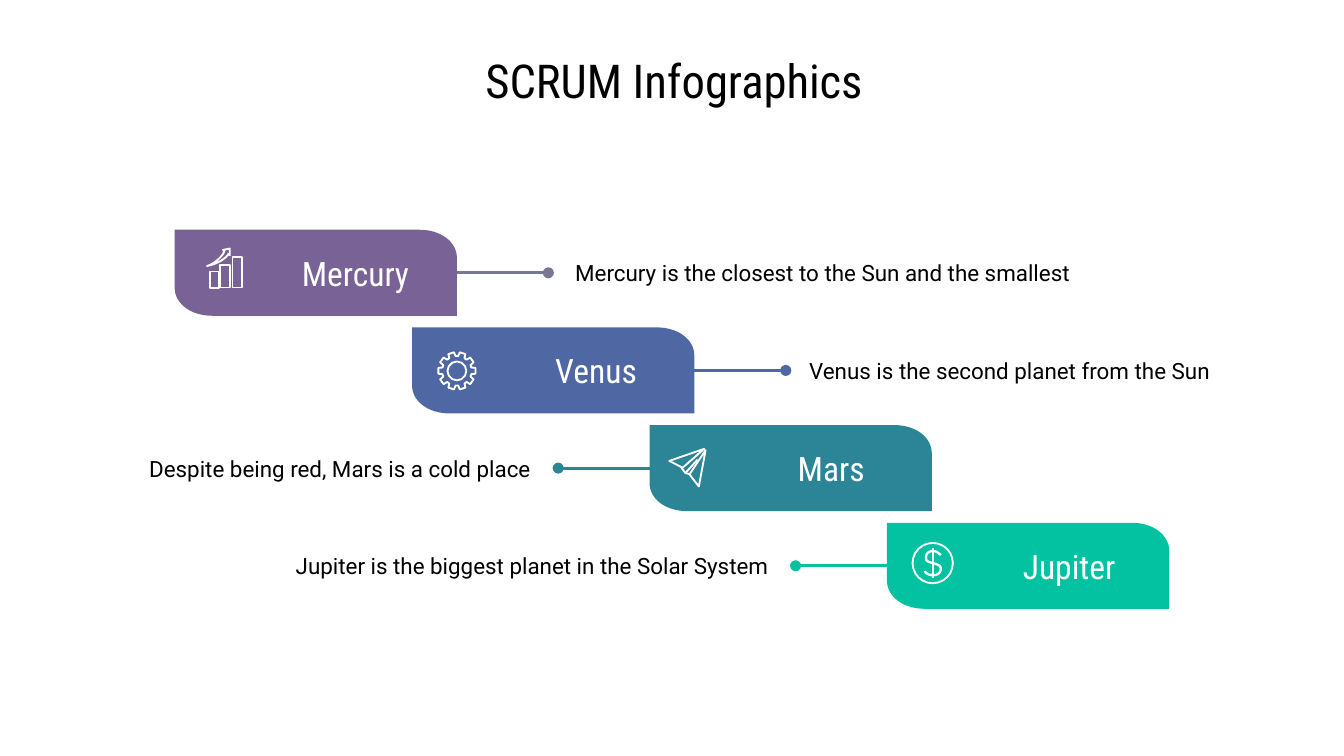
from dataclasses import dataclass
from math import cos, radians, sin
from typing import Callable

from lxml.etree import SubElement
from pptx import Presentation
from pptx.dml.color import RGBColor
from pptx.enum.shapes import MSO_CONNECTOR as Conn, MSO_SHAPE as Shape
from pptx.enum.text import MSO_ANCHOR as Anchor, PP_ALIGN as Align
from pptx.oxml.ns import qn
from pptx.util import Inches, Pt

COLORS = {
    "text": "000000", "white": "FFFFFF",
    "mercury": "796295", "mercury_line": "777693",
    "venus": "4F67A2", "mars": "2B8597", "jupiter": "03C2A2",
}
HEAD_FONT, BODY_FONT = "Roboto Condensed", "Roboto"
BANNER_W, BANNER_H = 2.1, 0.64
FIRST_X, FIRST_Y = 1.3, 1.71
LAST_X, LAST_Y = 6.6, 3.89
LINE_LEN = 0.68
ICON_PT = 1


@dataclass
class Step:
    name: str
    note: str
    color: str
    line_color: str
    label_x: float
    label_w: float
    note_x: float
    note_on_right: bool
    draw_icon: Callable


def rgb(key: str) -> RGBColor:
    return RGBColor.from_string(COLORS[key])


def flatten(path: list[tuple]) -> list[tuple]:
    """Turn (x, y) points and six-number Bézier segments into plain points."""
    points = [path[0]]
    for seg in path[1:]:
        if len(seg) == 2:
            points.append(seg)
            continue
        x0, y0 = points[-1]
        x1, y1, x2, y2, x3, y3 = seg
        for i in range(1, 17):
            t = i / 16
            a, b, c, d = (1 - t) ** 3, 3 * t * (1 - t) ** 2, 3 * t * t * (1 - t), t ** 3
            points.append((a * x0 + b * x1 + c * x2 + d * x3,
                           a * y0 + b * y1 + c * y2 + d * y3))
    return points


def paint(sp, fill: str | None = None, line: str | None = None, width: float = ICON_PT) -> None:
    sp.shadow.inherit = False
    if fill:
        sp.fill.solid()
        sp.fill.fore_color.rgb = rgb(fill)
    else:
        sp.fill.background()
    if line:
        sp.line.color.rgb = rgb(line)
        sp.line.width = Pt(width)
    else:
        sp.line.fill.background()


def add_path(shapes, path: list[tuple], closed: bool = True, **style) -> None:
    points = [(Inches(x), Inches(y)) for x, y in flatten(path)]
    builder = shapes.build_freeform(*points[0])
    builder.add_line_segments(points[1:], close=closed)
    paint(builder.convert_to_shape(), **style)


def add_outline(shapes, kind: Shape, x: float, y: float, w: float, h: float) -> None:
    paint(shapes.add_shape(kind, Inches(x), Inches(y), Inches(w), Inches(h)), line="white")


def add_line(shapes, x1: float, y1: float, x2: float, y2: float, color: str, width: float):
    line = shapes.add_connector(Conn.STRAIGHT, Inches(x1), Inches(y1), Inches(x2), Inches(y2))
    line.line.color.rgb = rgb(color)
    line.line.width = Pt(width)
    SubElement(line._element.spPr, qn("a:effectLst"))
    return line


def write(sp, text: str, size: float, font: str, color: str, align: Align,
          left_inset: float = 0.1) -> None:
    tf = sp.text_frame
    tf.word_wrap = True
    tf.vertical_anchor = Anchor.MIDDLE
    tf.margin_left = Inches(left_inset)
    tf.margin_top = tf.margin_right = tf.margin_bottom = Inches(0.1)
    p = tf.paragraphs[0]
    p.alignment = align
    r = p.add_run()
    r.text = text
    r.font.size, r.font.name = Pt(size), font
    r.font.color.rgb = rgb(color)


def add_label(shapes, x: float, y: float, w: float, h: float, text: str, size: float,
              color: str) -> None:
    box = shapes.add_textbox(Inches(x), Inches(y), Inches(w), Inches(h))
    write(box, text, size, HEAD_FONT, color, Align.CENTER)


def draw_growth(shapes) -> None:
    for x, top in ((1.56, 2.02), (1.64, 1.97), (1.73, 1.91)):
        add_outline(shapes, Shape.RECTANGLE, x, top, 0.07, 2.14 - top)
    arrow = [(1.71, 1.85), (1.66, 1.86), (1.67, 1.87), (1.65, 1.92, 1.58, 1.97, 1.54, 1.98),
             (1.64, 1.96, 1.69, 1.91, 1.7, 1.89), (1.71, 1.9)]
    add_path(shapes, arrow, line="white")


def draw_gear(shapes) -> None:
    cx, cy, hole, valley, tip = 3.4, 2.76, 0.07, 0.11, 0.14
    profile = ((-9, tip), (9, tip), (13, valley), (23, valley))
    gear = [(cx + radius * cos(radians(36 * tooth + angle)),
             cy + radius * sin(radians(36 * tooth + angle)))
            for tooth in range(10) for angle, radius in profile]
    add_path(shapes, gear, line="white")
    add_outline(shapes, Shape.OVAL, cx - hole, cy - hole, 2 * hole, 2 * hole)


def draw_plane(shapes) -> None:
    left_wing = [(5.24, 3.34), (4.98, 3.43), (5.08, 3.48)]
    right_wing = [(5.25, 3.35), (5.13, 3.53), (5.2, 3.62)]
    for wing in (left_wing, right_wing):
        add_path(shapes, wing, line="white")
    add_path(shapes, [(5.07, 3.48), (5.1, 3.52), (5.14, 3.53)], closed=False, line="white")
    add_line(shapes, 5.1, 3.52, 5.19, 3.42, "white", ICON_PT)


def draw_dollar(shapes) -> None:
    add_outline(shapes, Shape.OVAL, 6.79, 4.04, 0.3, 0.3)
    letter = [(7, 4.13), (6.98, 4.11, 6.96, 4.1, 6.94, 4.1),
              (6.91, 4.1, 6.89, 4.12, 6.89, 4.15), (6.89, 4.18, 6.91, 4.18, 6.94, 4.19),
              (6.98, 4.2, 7, 4.21, 7, 4.23), (7, 4.26, 6.98, 4.28, 6.94, 4.28),
              (6.92, 4.28, 6.89, 4.27, 6.88, 4.25)]
    add_path(shapes, letter, closed=False, line="white", width=1.25)
    add_line(shapes, 6.94, 4.08, 6.94, 4.3, "white", ICON_PT)


def draw_banner(shapes, x: float, y: float, color: str) -> None:
    """Draw a bar whose lower left and upper right corners are rounded."""
    rx, ry, kx, ky = 0.28, 0.21, 0.16, 0.12
    right, bottom = x + BANNER_W, y + BANNER_H
    add_path(shapes, [
        (x, y), (x, bottom - ry),
        (x, bottom - ry + ky, x + rx - kx, bottom, x + rx, bottom),
        (right, bottom), (right, y + ry),
        (right, y + ry - ky, right - rx + kx, y, right - rx, y),
    ], fill=color)


def draw_step(shapes, step: Step, x: float, y: float) -> None:
    draw_banner(shapes, x, y, step.color)
    step.draw_icon(shapes)
    add_label(shapes, step.label_x, y + 0.12, step.label_w, 0.4, step.name, 18, "white")

    note = shapes.add_shape(Shape.ROUNDED_RECTANGLE, Inches(step.note_x), Inches(y + 0.06),
                            Inches(4.35), Inches(0.52))
    note.adjustments[0] = 0
    paint(note)
    write(note, step.note, 12, BODY_FONT, "text",
          Align.LEFT if step.note_on_right else Align.RIGHT, left_inset=0.2)

    start, reach = (x + BANNER_W, LINE_LEN) if step.note_on_right else (x, -LINE_LEN)
    mid = y + BANNER_H / 2
    line = add_line(shapes, start, mid, start + reach, mid, step.line_color, 1.5)
    SubElement(line.line._get_or_add_ln(), qn("a:tailEnd"), type="oval")


STEPS = [
    Step("Mercury", "Mercury is the closest to the Sun and the smallest", "mercury",
         "mercury_line", 1.89, 1.51, 4.08, True, draw_growth),
    Step("Venus", "Venus is the second planet from the Sun", "venus",
         "venus", 3.71, 1.45, 5.82, True, draw_gear),
    Step("Mars", "Despite being red, Mars is a cold place", "mars",
         "mars", 5.46, 1.45, -0.3, False, draw_plane),
    Step("Jupiter", "Jupiter is the biggest planet in the Solar System", "jupiter",
         "jupiter", 7.23, 1.45, 1.47, False, draw_dollar),
]


def main() -> None:
    prs = Presentation()
    prs.slide_width = Inches(10)
    prs.slide_height = prs.slide_width * 9 // 16
    s = prs.slides.add_slide(prs.slide_layouts[6])
    add_label(s.shapes, 0.53, 0.33, 8.97, 0.53, "SCRUM Infographics", 25, "text")
    gaps = len(STEPS) - 1
    for i, step in enumerate(STEPS):
        draw_step(s.shapes.add_group_shape().shapes, step,
                  FIRST_X + i * (LAST_X - FIRST_X) / gaps,
                  FIRST_Y + i * (LAST_Y - FIRST_Y) / gaps)
    prs.save("out.pptx")


if __name__ == "__main__":
    main()
